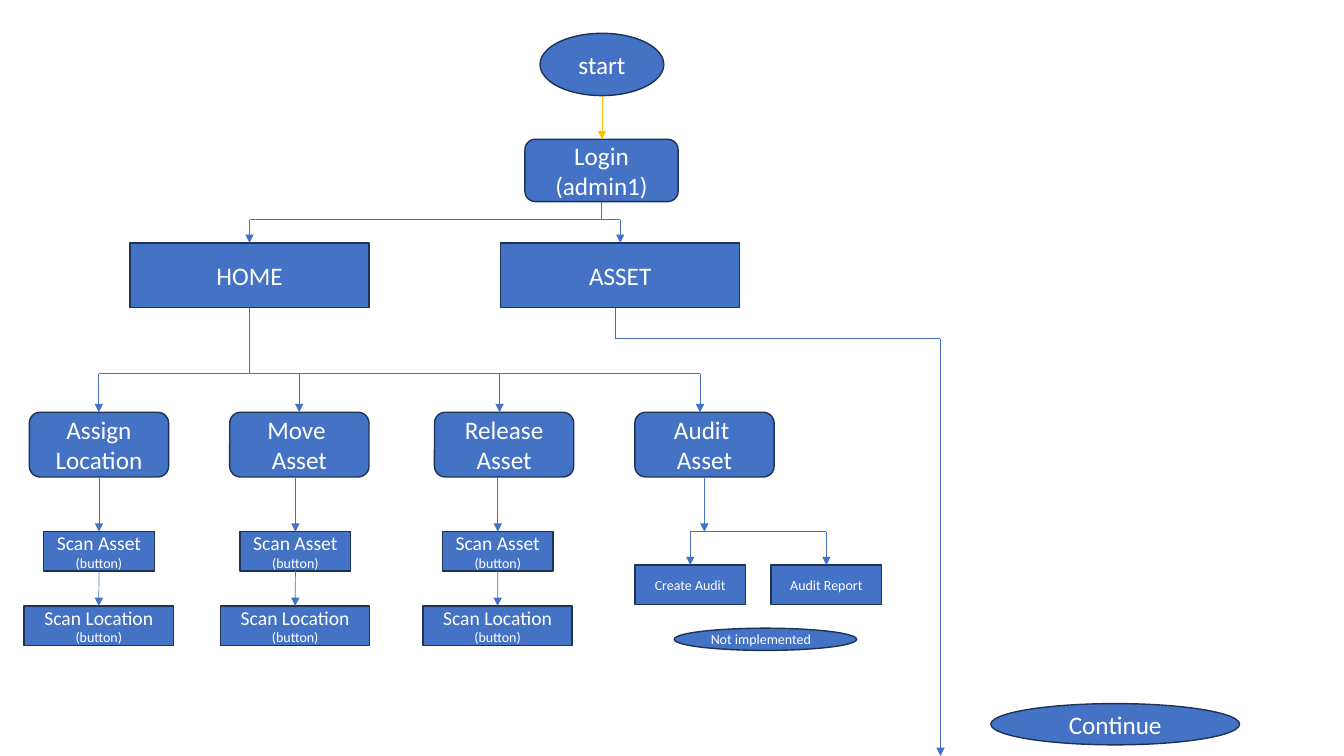
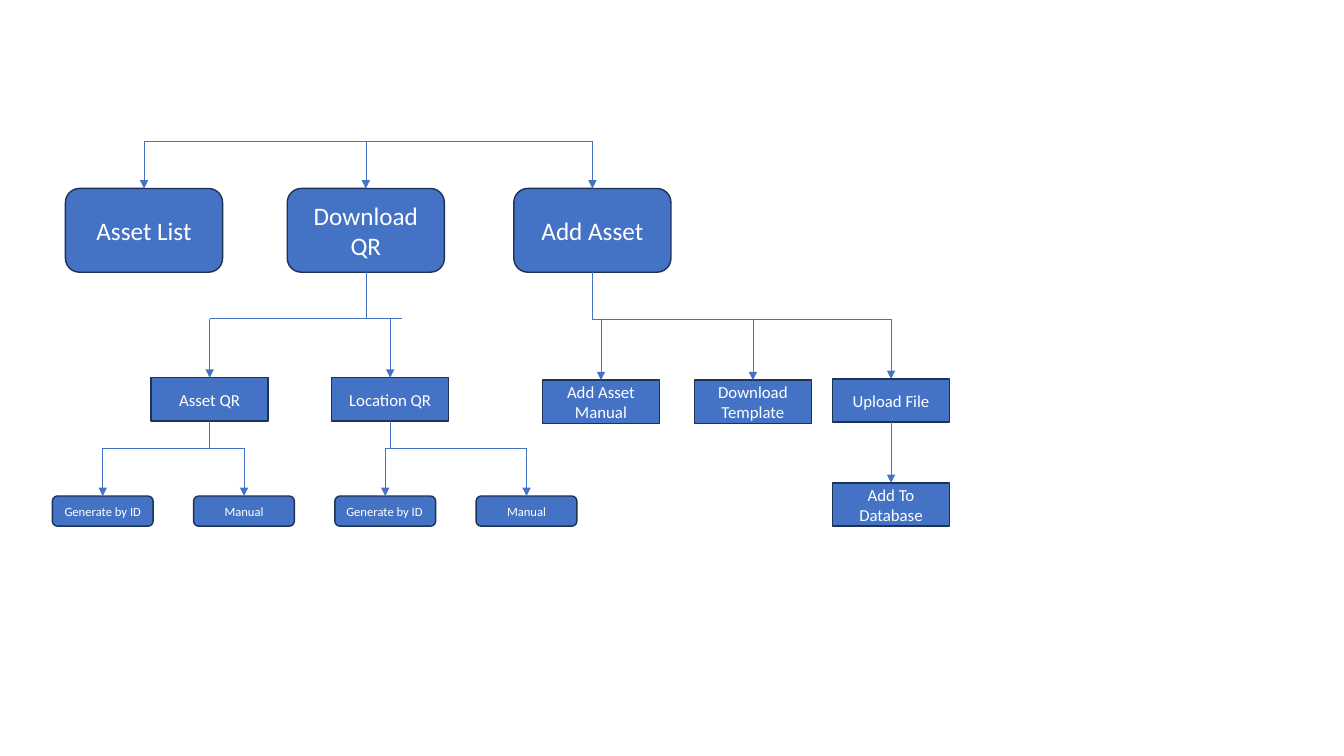
from copy import deepcopy
from dataclasses import dataclass

from pptx import Presentation
from pptx.dml.color import RGBColor
from pptx.enum.shapes import MSO_CONNECTOR, MSO_SHAPE
from pptx.enum.text import MSO_ANCHOR, PP_ALIGN
from pptx.oxml.ns import qn
from pptx.oxml.xmlchemy import OxmlElement
from pptx.util import Cm, Pt


@dataclass(frozen=True)
class Theme:
    font: str = "Calibri"
    fill: RGBColor = RGBColor(0x44, 0x72, 0xC4)
    outline: RGBColor = RGBColor(0x1E, 0x32, 0x56)
    accent: RGBColor = RGBColor(0xFF, 0xC0, 0x00)
    text: RGBColor = RGBColor(0xFF, 0xFF, 0xFF)
    large: float = 18
    medium: float = 14
    small: float = 12
    note: float = 10
    tiny: float = 9
    border: float = 1
    wire: float = 0.5


@dataclass(frozen=True)
class Box:
    """A rectangle in centimetres."""
    left: float
    top: float
    width: float
    height: float

    @property
    def middle(self):
        return self.left + self.width / 2

    @property
    def bottom(self):
        return self.top + self.height

    def inner(self, left, top, width, height):
        return Box(self.left + left, self.top + top, width, height)


THEME = Theme()
PAGE = Box(0, 0, 33.87, 19.05)
RECT = MSO_SHAPE.RECTANGLE
ROUND = MSO_SHAPE.ROUNDED_RECTANGLE
OVAL = MSO_SHAPE.OVAL


# Shared parts
def write(para, text, size=THEME.large, color=THEME.text):
    """Add text to a paragraph; each newline becomes a line break."""
    for number, line in enumerate(text.split("\n")):
        if number:
            para.add_line_break()
        span = para.add_run()
        span.text = line
        span.font.name = THEME.font
        span.font.size = Pt(size)
        span.font.color.rgb = color
        if number:
            line_break = para._p.findall(qn("a:br"))[-1]
            line_break.append(deepcopy(span.font._element))


def node(page, box, text, kind=RECT, size=THEME.large, note="",
         align=PP_ALIGN.CENTER):
    shape = page.shapes.add_shape(
        kind, Cm(box.left), Cm(box.top), Cm(box.width), Cm(box.height))
    shape.shadow.inherit = False
    shape.fill.solid()
    shape.fill.fore_color.rgb = THEME.fill
    shape.line.color.rgb = THEME.outline
    shape.line.width = Pt(THEME.border)
    frame = shape.text_frame
    frame.word_wrap = True
    frame.vertical_anchor = MSO_ANCHOR.MIDDLE
    para = frame.paragraphs[0]
    para.alignment = align
    write(para, text, size=size)
    if note:
        write(para, "\n" + note, size=THEME.note)
    return box


def wire(page, start, end, color=THEME.fill, arrow=False):
    line = page.shapes.add_connector(
        MSO_CONNECTOR.STRAIGHT, *(Cm(value) for value in (*start, *end)))
    line.line.color.rgb = color
    line.line.width = Pt(THEME.wire)
    if arrow:
        tail = OxmlElement("a:tailEnd")
        tail.set("type", "triangle")
        line.line._get_or_add_ln().append(tail)
    line._element.spPr.append(OxmlElement("a:effectLst"))


def branch(page, bar, drops, stem=None, stem_arrow=False, reach=0):
    """Draw a stem down to a level bar, then an arrow for each drop."""
    ends = [x for x, _ in drops]
    if stem:
        wire(page, stem, (stem[0], bar), arrow=stem_arrow)
        ends.append(stem[0])
    wire(page, (min(ends), bar), (max(ends) + reach, bar))
    for x, y in drops:
        wire(page, (x, bar), (x, y), arrow=True)


def top_of(box):
    return box.middle, box.top


def foot_of(box):
    return box.middle, box.bottom


# Slide 1: start, login and the two main pages
def entry(page, box):
    start = node(page, box.inner(10.33, 0, 3.12, 1.57), "start", OVAL)
    login = node(page, box.inner(9.95, 2.67, 3.86, 1.57), "Login\n(admin1)",
                 ROUND)
    home, asset = (
        node(page, box.inner(left, 5.28, 6.02, 1.63), name)
        for left, name in ((0, "HOME"), (9.34, "ASSET")))
    wire(page, foot_of(start), (start.middle, login.top), THEME.accent, True)
    branch(page, box.top + 4.7, [top_of(home), top_of(asset)], foot_of(login))
    return home, asset


# Slide 1: the two scan buttons below a task
def scan_steps(page, box):
    asset = node(page, box.inner(0.49, 1.38, 2.79, 0.99), "Scan Asset",
                 size=THEME.medium, note="(button)")
    location = node(page, box.inner(0, 3.25, box.width, 0.99),
                    "Scan Location", size=THEME.medium, note="(button)")
    wire(page, (asset.middle, box.top), top_of(asset), arrow=True)
    wire(page, foot_of(asset), top_of(location), arrow=True)


# Slide 1: the audit choices
def audit_steps(page, box):
    choices = [
        node(page, box.inner(3.43 * column, 2.22, 2.79, 0.99), name,
             size=THEME.note)
        for column, name in enumerate(("Create Audit", "Audit Report"))]
    branch(page, box.top + 1.38, [top_of(choice) for choice in choices],
           (box.left + 1.75, box.top), stem_arrow=True)
    node(page, box.inner(0.99, 3.81, 4.6, 0.56), "Not implemented", OVAL,
         THEME.note, align=PP_ALIGN.LEFT)


# Slide 1: the tasks under HOME
def home_tasks(page, box, home):
    tasks = ((0, "Assign Location"), (5.05, "Move \nAsset"),
             (10.21, "Release Asset"), (15.26, "Audit \nAsset"))
    for left, name in tasks:
        node(page, box.inner(left, 0.97, 3.51, 1.63), name, ROUND)
    drops = [(box.left + 1.75 + 5.05 * column, box.top + 0.97)
             for column in range(len(tasks))]
    branch(page, box.top, drops, foot_of(home))
    for left in (-0.13, 4.82, 9.92):
        scan_steps(page, box.inner(left, 2.6, 3.76, 4.24))
    audit_steps(page, box.inner(15.26, 2.6, 6.22, 4.37))


# Slide 1: the way from ASSET to the next slide
def asset_exit(page, box):
    right = box.left + 8.18
    corner = box.top + 0.78
    wire(page, (box.left, box.top), (box.left, corner))
    wire(page, (box.left, corner), (right, corner))
    wire(page, (right, corner), (right, box.bottom), arrow=True)
    node(page, box.inner(9.45, 9.98, 6.27, 1.04), "Continue", OVAL)


# Slide 2: the three asset pages
def asset_pages(page, box):
    pages = [
        node(page, box.inner(left, 1.2, 3.96, 2.11), name, ROUND)
        for left, name in ((0, "Asset List"), (5.59, "Download QR"),
                           (11.3, "Add Asset"))]
    branch(page, box.top, [top_of(part) for part in pages])
    return pages


# Slide 2: the QR choices
def qr_choices(page, box, parent):
    kinds = [
        node(page, box.inner(2.49 + 4.55 * column, 1.49, 2.95, 1.09), name,
             size=THEME.small)
        for column, name in enumerate(("Asset QR", "Location QR"))]
    branch(page, box.top, [top_of(kind) for kind in kinds], foot_of(parent),
           reach=0.3)
    aligns = (PP_ALIGN.CENTER, PP_ALIGN.LEFT)
    for column, (kind, align) in enumerate(zip(kinds, aligns)):
        left = 7.12 * column
        ways = [
            node(page, box.inner(left, 4.47, 2.54, 0.76), "Generate by ID",
                 ROUND, THEME.tiny, align=align),
            node(page, box.inner(left + 3.56, 4.47, 2.54, 0.76), "Manual",
                 ROUND, THEME.tiny)]
        branch(page, box.top + 3.27, [top_of(way) for way in ways],
               foot_of(kind))


# Slide 2: the ways to add an asset
def add_choices(page, box, parent):
    choices = [
        node(page, box.inner(left, top, 2.95, 1.09), name, size=THEME.small)
        for left, top, name in ((0, 1.53, "Add Asset Manual"),
                                (3.83, 1.53, "Download Template"),
                                (7.31, 1.5, "Upload File"))]
    branch(page, box.top, [top_of(choice) for choice in choices],
           foot_of(parent))
    database = node(page, box.inner(7.31, 4.12, 2.95, 1.09),
                    "Add To Database", size=THEME.small)
    wire(page, foot_of(choices[-1]), top_of(database), arrow=True)


# Slides
def main_flow(page, box):
    home, asset = entry(page, box.inner(3.28, 0.84, 15.36, 6.91))
    home_tasks(page, box.inner(0.74, 9.42, 21.48, 6.97), home)
    asset_exit(page, box.inner(15.52, asset.bottom, 15.72,
                               box.height - asset.bottom))


def asset_flow(page, box):
    _, download, add = asset_pages(page, box.inner(1.65, 3.55, 15.26, 3.31))
    qr_choices(page, box.inner(1.32, 8.03, 13.22, 5.23), download)
    add_choices(page, box.inner(13.67, 8.05, 10.26, 5.21), add)


deck = Presentation()
deck.slide_width = Cm(PAGE.width)
deck.slide_height = Cm(PAGE.height)
for build in (main_flow, asset_flow):
    build(deck.slides.add_slide(deck.slide_layouts[6]), PAGE)
deck.save("out.pptx")
